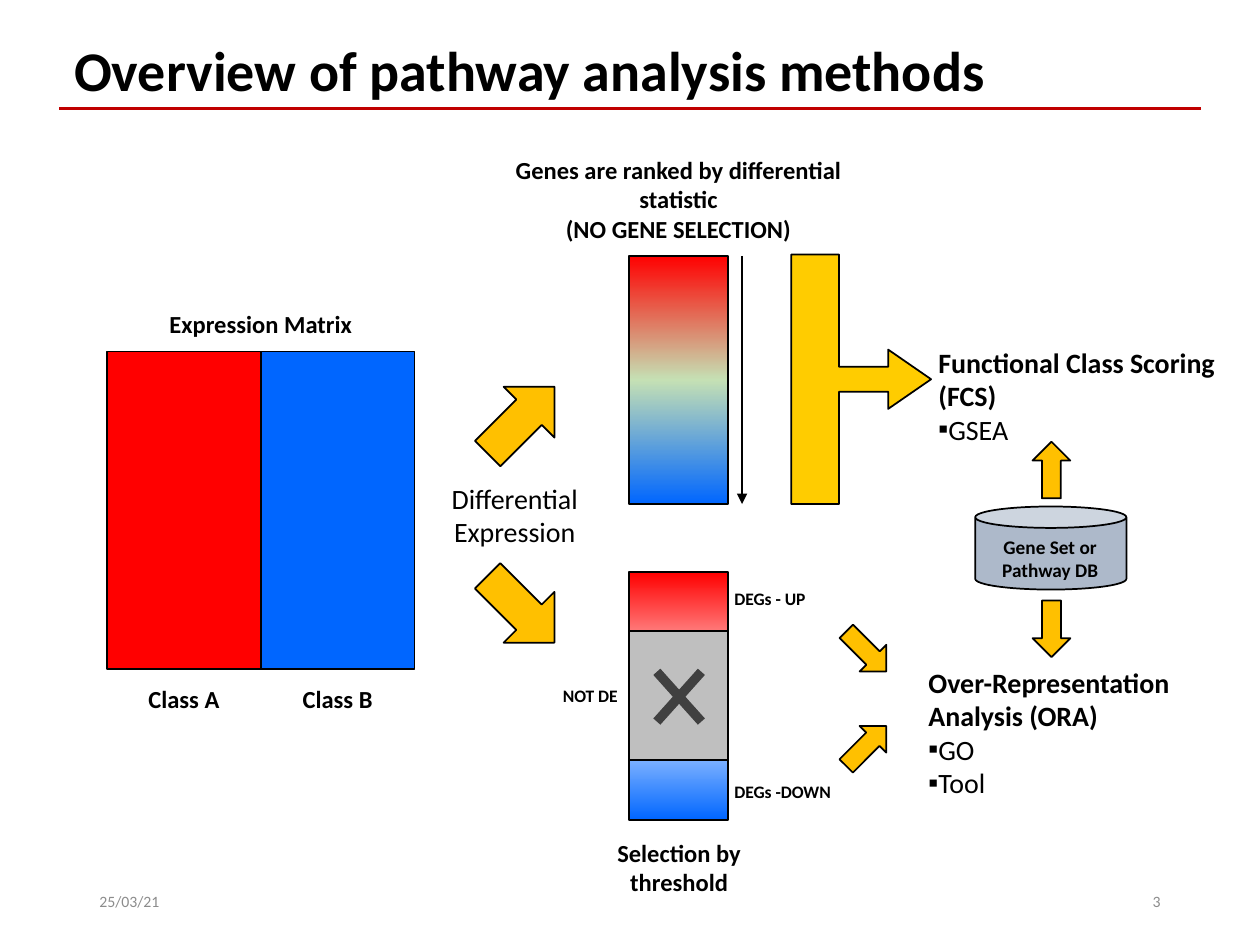
from copy import deepcopy

from lxml import etree
from pptx import Presentation
from pptx import util as u
from pptx.dml import color as dml
from pptx.enum import shapes, text
from pptx.oxml import ns

COLORS = {
    "black": "000000", "rule": "C00000", "red": "FF0000", "blue": "0066FF",
    "green": "C5E0B4", "white": "FFFFFF", "grey": "BFBFBF", "arrow": "FFC000",
    "callout": "FFCC00", "database": "ADB9CA", "cross": "404040", "footer": "8C8C8C",
}
SHAPE = shapes.MSO_SHAPE
LEFT, CENTER, RIGHT = text.PP_ALIGN.LEFT, text.PP_ALIGN.CENTER, text.PP_ALIGN.RIGHT


def rgb(name):
    return dml.RGBColor.from_string(COLORS[name])


class Diagram:
    """Draws styled elements on the current slide."""

    def __init__(self, slide, font="Calibri"):
        self.slide = slide
        self.font = font

    def label(self, box, lines, size, bold=True, align=CENTER, color="black",
              bullets=(), anchor=text.MSO_ANCHOR.TOP):
        frame = self.slide.shapes.add_textbox(*map(u.Inches, box)).text_frame
        frame.word_wrap = True
        frame.vertical_anchor = anchor
        frame.text = "\n".join([*lines, *bullets])
        for index, paragraph in enumerate(frame.paragraphs):
            is_bullet = index >= len(lines)
            if is_bullet:
                properties = paragraph._p.get_or_add_pPr()
                etree.SubElement(properties, ns.qn("a:buFont")).set("typeface", self.font)
                etree.SubElement(properties, ns.qn("a:buChar")).set("char", "▪")
            paragraph.alignment = align
            paragraph.font.name = self.font
            paragraph.font.size = u.Pt(size)
            paragraph.font.bold = bold and not is_bullet
            paragraph.font.color.rgb = rgb(color)

    def block(self, kind, box, fill, outlined=True, rotation=0, adjustments=()):
        block = self.slide.shapes.add_shape(kind, *map(u.Inches, box))
        block.shadow.inherit = False
        block.rotation = rotation
        for index, value in enumerate(adjustments):
            block.adjustments[index] = value
        block.fill.solid()
        block.fill.fore_color.rgb = rgb(fill)
        if outlined:
            block.line.color.rgb = rgb("black")
            block.line.width = u.Pt(1)
        else:
            block.line.fill.background()
        return block

    def gradient_bar(self, box, colors):
        bar = self.block(SHAPE.RECTANGLE, box, colors[0])
        bar.fill.gradient()
        bar.fill.gradient_angle = 270
        stop_list = bar._element.spPr.find(".//" + ns.qn("a:gsLst"))
        stop_list.insert(1, deepcopy(stop_list[0]))
        for index, (stop, color) in enumerate(zip(bar.fill.gradient_stops, colors)):
            stop.position = index / 2
            stop.color.rgb = rgb(color)

    def line(self, start, end, color, width, arrow=False):
        line = self.slide.shapes.add_connector(
            shapes.MSO_CONNECTOR.STRAIGHT, *map(u.Inches, (*start, *end)))
        line.line.color.rgb = rgb(color)
        line.line.width = u.Pt(width)
        if arrow:
            head = etree.SubElement(line.line._get_or_add_ln(), ns.qn("a:tailEnd"))
            head.set("type", "triangle")
        etree.SubElement(line._element.spPr, ns.qn("a:effectLst"))


def main():
    deck = Presentation()
    deck.slide_width, deck.slide_height = u.Inches(10), u.Inches(7.5)
    diagram = Diagram(deck.slides.add_slide(deck.slide_layouts[6]))

    diagram.line((0.47, 0.86), (9.53, 0.86), "rule", 2)
    diagram.label((0.49, 0.23, 9, 0.62), ["Overview of pathway analysis methods"], 32, align=LEFT)

    diagram.label((0.88, 2.4, 2.38, 0.34), ["Expression Matrix"], 14)
    class_width = 1.22
    for column, (name, color) in enumerate([("Class A", "red"), ("Class B", "blue")]):
        left = 0.85 + column * class_width
        diagram.block(SHAPE.RECTANGLE, (left, 2.79, class_width, 2.52), color)
        diagram.label((left - 0.1, 5.38, class_width + 0.2, 0.34), [name], 14)

    bar_left, bar_width, bar_height = 4.99, 0.79, 1.97
    for top, middle in [(2.03, "green"), (4.54, "white")]:
        diagram.gradient_bar((bar_left, top, bar_width, bar_height), ["red", middle, "blue"])
    diagram.block(SHAPE.RECTANGLE, (bar_left, 5.01, bar_width, 1.02), "grey")
    diagram.block(SHAPE.MATH_MULTIPLY, (5.05, 5.15, 0.68, 0.76), "cross",
                  outlined=False, adjustments=[0.11])

    diagram.label((3.93, 1.18, 2.91, 0.81),
                  ["Genes are ranked by differential statistic", "(NO GENE SELECTION)"], 14)
    diagram.line((5.89, 2.03), (5.89, 4), "black", 1.5, arrow=True)
    diagram.label((4.4, 6.6, 1.98, 0.57), ["Selection by threshold"], 14)
    diagram.label((3.28, 3.77, 1.61, 0.64), ["Differential Expression"], 16, bold=False)
    diagram.label((5.73, 4.62, 1.29, 0.27), ["DEGs - UP"], 10, align=LEFT)
    diagram.label((5.73, 6.15, 1.4, 0.27), ["DEGs -DOWN"], 10, align=LEFT)
    diagram.label((4.3, 5.39, 0.77, 0.27), ["NOT DE"], 10)

    large, small = (0.75, 0.57), (0.45, 0.3)
    for left, top, size, rotation in [
        (3.76, 4.55, large, 45), (3.76, 3.05, large, 315),
        (6.65, 5.02, small, 45), (6.65, 5.77, small, 315),
        (8.12, 4.84, small, 90), (8.12, 3.58, small, 270),
    ]:
        diagram.block(SHAPE.RIGHT_ARROW, (left, top, *size), "arrow", rotation=rotation)
    diagram.block(SHAPE.RIGHT_ARROW_CALLOUT, (6.28, 2.02, 1.11, 1.98), "callout",
                  adjustments=[0.178, 0.212, 0.307, 0.342])

    diagram.label((7.35, 2.69, 2.63, 0.91), ["Functional Class Scoring (FCS)"], 16,
                  align=LEFT, bullets=["GSEA"])
    diagram.label((7.27, 5.23, 2.69, 1.45), ["Over-Representation Analysis (ORA)"], 16,
                  align=LEFT, bullets=["GO", "Tool"])
    diagram.block(SHAPE.CAN, (7.74, 4.02, 1.2, 0.66), "database", adjustments=[0.258])
    diagram.label((7.73, 4.2, 1.21, 0.47), ["Gene Set or Pathway DB"], 11)

    for left, content, align in [(0.69, "25/03/21", LEFT), (7.06, "3", RIGHT)]:
        diagram.label((left, 6.95, 2.25, 0.4), [content], 9, bold=False, align=align,
                      color="footer", anchor=text.MSO_ANCHOR.MIDDLE)

    deck.save("out.pptx")


if __name__ == "__main__":
    main()
